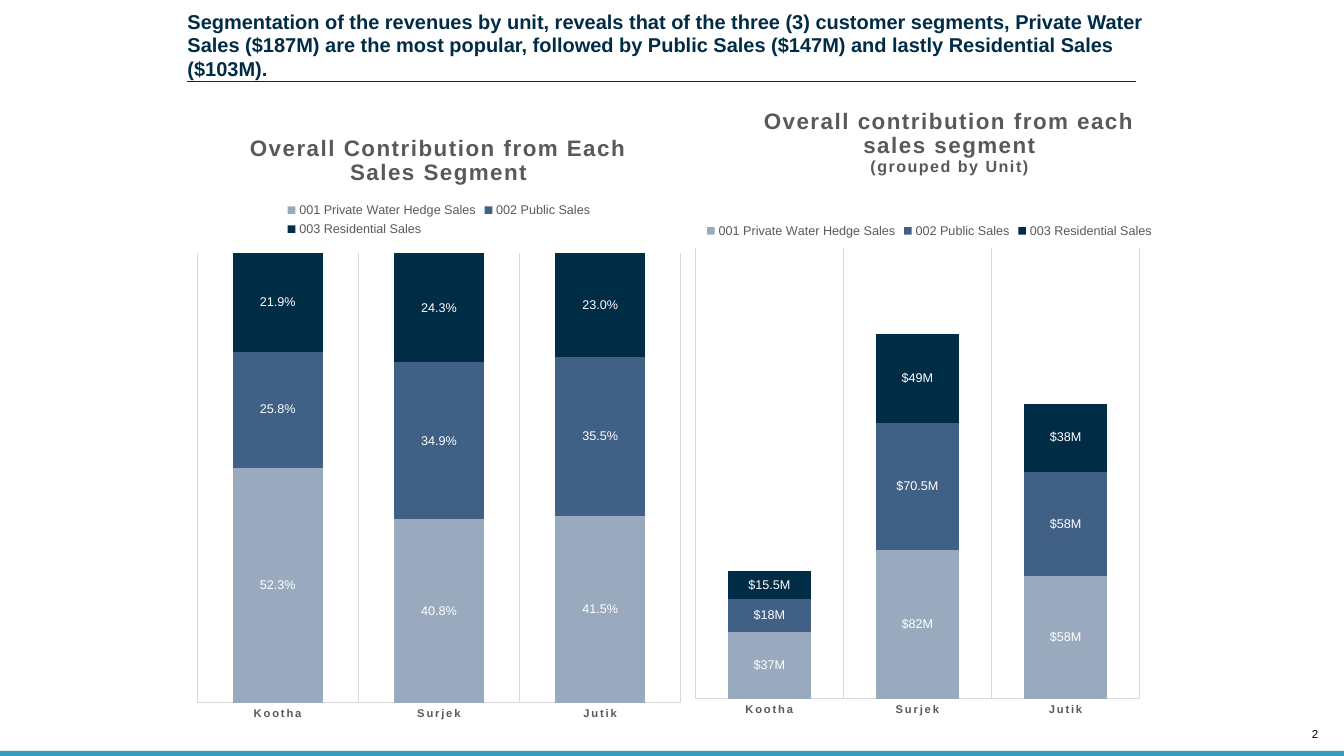
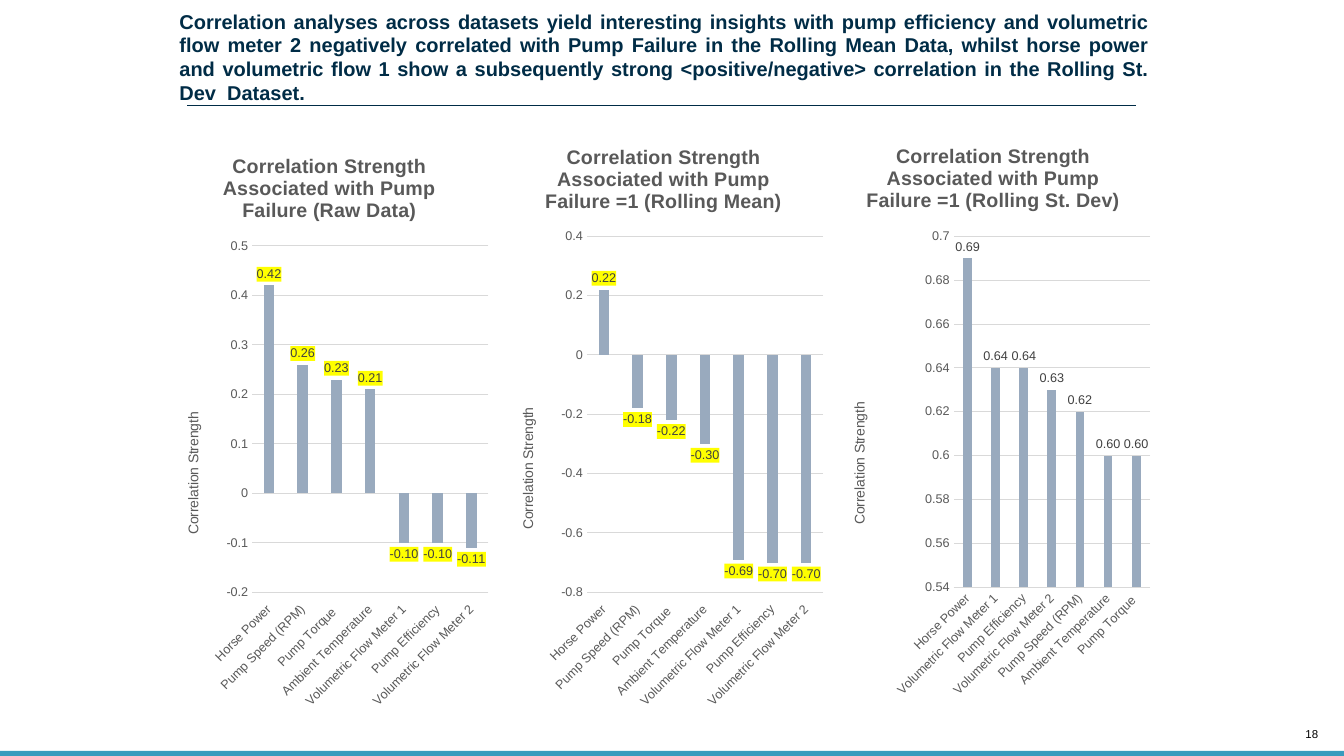
import pptx
import pptx.util
import pptx.chart.data
import pptx.dml.color
import pptx.enum.chart
import pptx.enum.shapes
import pptx.enum.text
import pptx.oxml
import pptx.oxml.ns
import lxml.etree

Pt, qn = pptx.util.Pt, pptx.oxml.ns.qn
RGB = pptx.dml.color.RGBColor.from_string
kinds = pptx.enum.chart.XL_CHART_TYPE
spots = pptx.enum.chart.XL_LABEL_POSITION
ticks = pptx.enum.chart.XL_TICK_LABEL_POSITION
align = pptx.enum.text.PP_ALIGN
anchor = pptx.enum.text.MSO_ANCHOR

FONT = "Arial"
INK = dict(navy="002C46", blue="406085", pale="99AABE", band="379BBD",
           gray="595959", dark="404040", grid="D9D9D9", mark="FFFF00",
           white="FFFFFF", black="000000")

# Slide size, and a grid of 100 columns by 100 rows
deck = pptx.Presentation()
deck.slide_width = pptx.util.Inches(13.33)
deck.slide_height = pptx.util.Inches(7.5)
col, row = deck.slide_width / 100, deck.slide_height / 100


def say(para, text, size, color, bold=False, side=None, gap=0, lead=None):
    """Write text into a paragraph; gap is letter spacing in 1/100 pt."""
    run = para.add_run()
    run.text = text
    run.font.name, run.font.size, run.font.bold = FONT, Pt(size), bold
    run.font.color.rgb = RGB(INK[color])
    if side is not None:
        para.alignment = side
    if lead:
        para.line_spacing = Pt(lead)
    if gap:
        run.font._element.set("spc", str(gap))


def lay(part, *box, inner=False):
    """Place a chart part by x, y, w, h in percent of the chart."""
    for old in part.findall(qn("c:layout")):
        part.remove(old)
    spot = len(part.findall(qn("c:tx"))) + len(part.findall(qn("c:legendPos")))
    node = pptx.oxml.parse_xml(
        '<c:layout xmlns:c="http://schemas.openxmlformats.org/drawingml/2006/chart">'
        "<c:manualLayout/></c:layout>")
    part.insert(spot, node)
    items = [("layoutTarget", "inner")] if inner else []
    items += [("xMode", "edge"), ("yMode", "edge")]
    items += [(key, str(val / 100)) for key, val in zip("xywh", box)]
    for key, val in items:
        lxml.etree.SubElement(node[0], qn("c:" + key)).set("val", val)


# Chart content; sales are in dollars
units = ["Kootha", "Surjek", "Jutik"]
sales = ["001 Private Water Hedge Sales", "002 Public Sales",
         "003 Residential Sales"]
sums = [(37_100_000, 82_400_000, 67_900_000),
        (18_300_000, 70_600_000, 58_100_000),
        (15_600_000, 49_200_000, 37_700_000)]
pumps = ["Horse Power", "Pump Speed (RPM)", "Pump Torque ",
         "Ambient Temperature", "Volumetric Flow Meter 1", "Pump Efficiency",
         "Volumetric Flow Meter 2"]
lead = "Correlation Strength Associated with Pump Failure "

stacks = [
    dict(kind=kinds.COLUMN_STACKED_100, at=(13.95, 14.8, 37.43, 82),
         title="Overall Contribution from Each Sales Segment", head=(11.6, 2.9),
         key=(19, 14, 62, 6.8), plot=(1.9, 22.8, 96.2, 72.5),
         cats=units, rows=sums,
         tags=[("52.3%", "40.8%", "41.5%"), ("25.8%", "34.9%", "35.5%"),
               ("21.9%", "24.3%", "23.0%")]),
    dict(kind=kinds.COLUMN_STACKED, at=(50.49, 13.33, 35.56, 85.47),
         title="Overall contribution from each sales segment",
         note="(grouped by Unit)", head=(17.2, 0.6), key=(5, 18.4, 95, 3.5),
         plot=(3.5, 22.8, 93, 69.8), span=(0, 250_000_000, 50_000_000),
         cats=units, rows=sums,
         tags=[("$37M", "$82M", "$58M"), ("$18M", "$70.5M", "$58M"),
               ("$15.5M", "$49M", "$38M")]),
]
bars = [
    dict(at=(61.74, 16.4, 24.38, 77.47), title=lead + "=1 (Rolling St. Dev)",
         head=(10.1, 2.7), plot=(37.8, 19.2, 60, 59.9), span=(0.54, 0.7, 0.02),
         cats=[pumps[i] for i in (0, 4, 5, 6, 1, 3, 2)],
         rows=[(0.69, 0.64, 0.64, 0.63, 0.62, 0.6, 0.6)]),
    dict(at=(37.06, 16.4, 24.68, 78.93), title=lead + "=1 (Rolling Mean)",
         head=(13.1, 2.8), plot=(26.8, 18.8, 71.2, 59.7), span=(-0.8, 0.4, 0.2),
         cats=pumps, mark=True,
         rows=[(0.22, -0.18, -0.22, -0.3, -0.69, -0.7, -0.7)]),
    dict(at=(12.15, 17.6, 24.68, 77.73), title=lead + "(Raw Data)",
         head=(16.9, 2.8), plot=(26.8, 19.2, 71.2, 59), span=(-0.2, 0.5, 0.1),
         cats=pumps, mark=True,
         rows=[(0.42, 0.26, 0.23, 0.21, -0.1, -0.1, -0.11)]),
]
pages = [
    dict(num="2", at=(13.95, 1.2, 73.14, 9.87), rule=10.8, side=align.LEFT,
         charts=stacks,
         title="Segmentation of the revenues by unit, reveals that of the three "
               "(3) customer segments, Private Water Sales ($187M) are the most "
               "popular, followed by Public Sales ($147M) and lastly "
               "Residential Sales ($103M)."),
    dict(num="18", at=(13.35, 1.2, 72.17, 13.07), rule=14, side=align.JUSTIFY,
         charts=bars,
         title="Correlation analyses across datasets yield interesting insights "
               "with pump efficiency and volumetric flow meter 2 negatively "
               "correlated with Pump Failure in the Rolling Mean Data, whilst "
               "horse power and volumetric flow 1 show a subsequently strong "
               "<positive/negative> correlation in the Rolling St. Dev  Dataset."),
]

for page in pages:
    slide = deck.slides.add_slide(deck.slide_layouts[5])
    shapes = slide.shapes

    # Bottom band
    band = shapes.add_shape(pptx.enum.shapes.MSO_SHAPE.RECTANGLE, 0,
                            int(99.33 * row), deck.slide_width, int(0.67 * row))
    band.shadow.inherit = False
    band.fill.solid()
    band.fill.fore_color.rgb = RGB(INK["band"])
    band.line.fill.background()

    # Title and page number
    x, y, w, h = page["at"]
    head = shapes.title
    head.left, head.top = int(x * col), int(y * row)
    head.width, head.height = int(w * col), int(h * row)
    foot = shapes.add_textbox(int(94 * col), int(96.13 * row),
                              int(4.08 * col), int(1.87 * row))
    for box, hold in ((head, anchor.TOP), (foot, anchor.BOTTOM)):
        frame = box.text_frame
        frame.margin_left = frame.margin_right = 0
        frame.margin_top = frame.margin_bottom = 0
        frame.word_wrap, frame.vertical_anchor = True, hold
        frame.auto_size = pptx.enum.text.MSO_AUTO_SIZE.NONE
    say(head.text_frame.paragraphs[0], page["title"], 14.3, "navy", bold=True,
        side=page["side"], lead=17.1)
    say(foot.text_frame.paragraphs[0], page["num"], 8.2, "black",
        side=align.RIGHT)

    # Rule under the title
    rule = shapes.add_connector(
        pptx.enum.shapes.MSO_CONNECTOR.STRAIGHT, int(13.95 * col),
        int(page["rule"] * row), int(84.55 * col), int(page["rule"] * row))
    rule.line.color.rgb, rule.line.width = RGB(INK["navy"]), Pt(0.75)
    lxml.etree.SubElement(rule._element.spPr, qn("a:effectLst"))

    for item in page["charts"]:
        stack = "key" in item
        data = pptx.chart.data.CategoryChartData()
        data.categories = item["cats"]
        for name, vals in zip(sales if stack else ["Series 1"], item["rows"]):
            data.add_series(name, vals)
        x, y, w, h = item["at"]
        chart = shapes.add_chart(
            item.get("kind", kinds.COLUMN_CLUSTERED), int(x * col),
            int(y * row), int(w * col), int(h * row), data).chart
        chart.font.name, chart.font.size = FONT, Pt(10)
        plot = chart.plots[0]
        plot.vary_by_categories = False
        plot.gap_width, plot.overlap = (79, 100) if stack else (219, -27)
        lay(chart._chartSpace.chart.plotArea, *item["plot"], inner=True)

        # Chart title
        chart.has_title = True
        frame = chart.chart_title.text_frame
        size, gap = (16, 120) if stack else (14, 0)
        say(frame.paragraphs[0], item["title"], size, "gray", bold=True, gap=gap)
        if "note" in item:
            say(frame.add_paragraph(), item["note"], 11.5, "gray", bold=True,
                gap=gap)
        lay(chart.chart_title._element, *item["head"])

        # Legend
        chart.has_legend = stack
        if stack:
            key = chart.legend
            key.position = pptx.enum.chart.XL_LEGEND_POSITION.TOP
            key.include_in_layout = False
            key.font.name, key.font.size = FONT, Pt(9)
            key.font.color.rgb = RGB(INK["gray"])
            lay(key._element, *item["key"])

        # Axes
        cat, val = chart.category_axis, chart.value_axis
        for axis, grid in ((cat, stack), (val, not stack)):
            axis.major_tick_mark = pptx.enum.chart.XL_TICK_MARK.NONE
            axis.minor_tick_mark = pptx.enum.chart.XL_TICK_MARK.NONE
            axis.has_major_gridlines = grid
            if grid:
                line = axis.major_gridlines.format.line
                line.color.rgb, line.width = RGB(INK["grid"]), Pt(0.75)
            font = axis.tick_labels.font
            font.name, font.size = FONT, Pt(9)
            font.color.rgb = RGB(INK["gray"])
        cat.format.line.color.rgb = RGB(INK["grid"])
        cat.format.line.width = Pt(0.75)
        if "mark" in item:
            cat.tick_label_position = ticks.LOW
        else:
            cat.tick_label_position = ticks.NEXT_TO_AXIS
        val.format.line.fill.background()
        if "span" in item:
            val.minimum_scale, val.maximum_scale, val.major_unit = item["span"]
        if stack:
            val.visible = False
            cat.tick_labels.font.size = Pt(8)
            cat.tick_labels.font.bold = True
            cat._element.find(".//" + qn("a:defRPr")).set("spc", "120")
        else:
            cat._element.find(".//" + qn("a:bodyPr")).set("rot", "-2700000")
            val.tick_labels.number_format = "General"
            val.tick_labels.number_format_is_linked = False
            val.has_title = True
            frame = val.axis_title.text_frame
            say(frame.paragraphs[0], "Correlation Strength", 10, "gray")
            turn = val.axis_title._element.find(".//" + qn("a:bodyPr"))
            turn.set("rot", "-5400000")
            turn.set("vert", "horz")
            lay(val.axis_title._element, 5.5, 47.1)

        # Series and their labels
        for part, tint in zip(plot.series, ("pale", "blue", "navy")):
            part.invert_if_negative = False
            part.format.fill.solid()
            part.format.fill.fore_color.rgb = RGB(INK[tint])
            tags = part.data_labels
            tags.show_value = True
            tags.number_format = "#,##0" if stack else "#,##0.00"
            tags.number_format_is_linked = False
            tags.position = spots.CENTER if stack else spots.OUTSIDE_END
            tags.font.name, tags.font.size = FONT, Pt(9)
            tags.font.color.rgb = RGB(INK["white" if stack else "dark"])
            if "mark" in item:
                tags._element.find(qn("c:numFmt")).addnext(pptx.oxml.parse_xml(
                    '<c:spPr xmlns:c="http://schemas.openxmlformats.org/drawingml/2006/chart" '
                    'xmlns:a="http://schemas.openxmlformats.org/drawingml/2006/main">'
                    f'<a:solidFill><a:srgbClr val="{INK["mark"]}"/></a:solidFill></c:spPr>'))
        for part, words in zip(plot.series, item.get("tags", [])):
            for spot, word in enumerate(words):
                tag = part.points[spot].data_label
                say(tag.text_frame.paragraphs[0], word, 9, "white")
                tag.position = spots.CENTER

deck.save("out.pptx")
